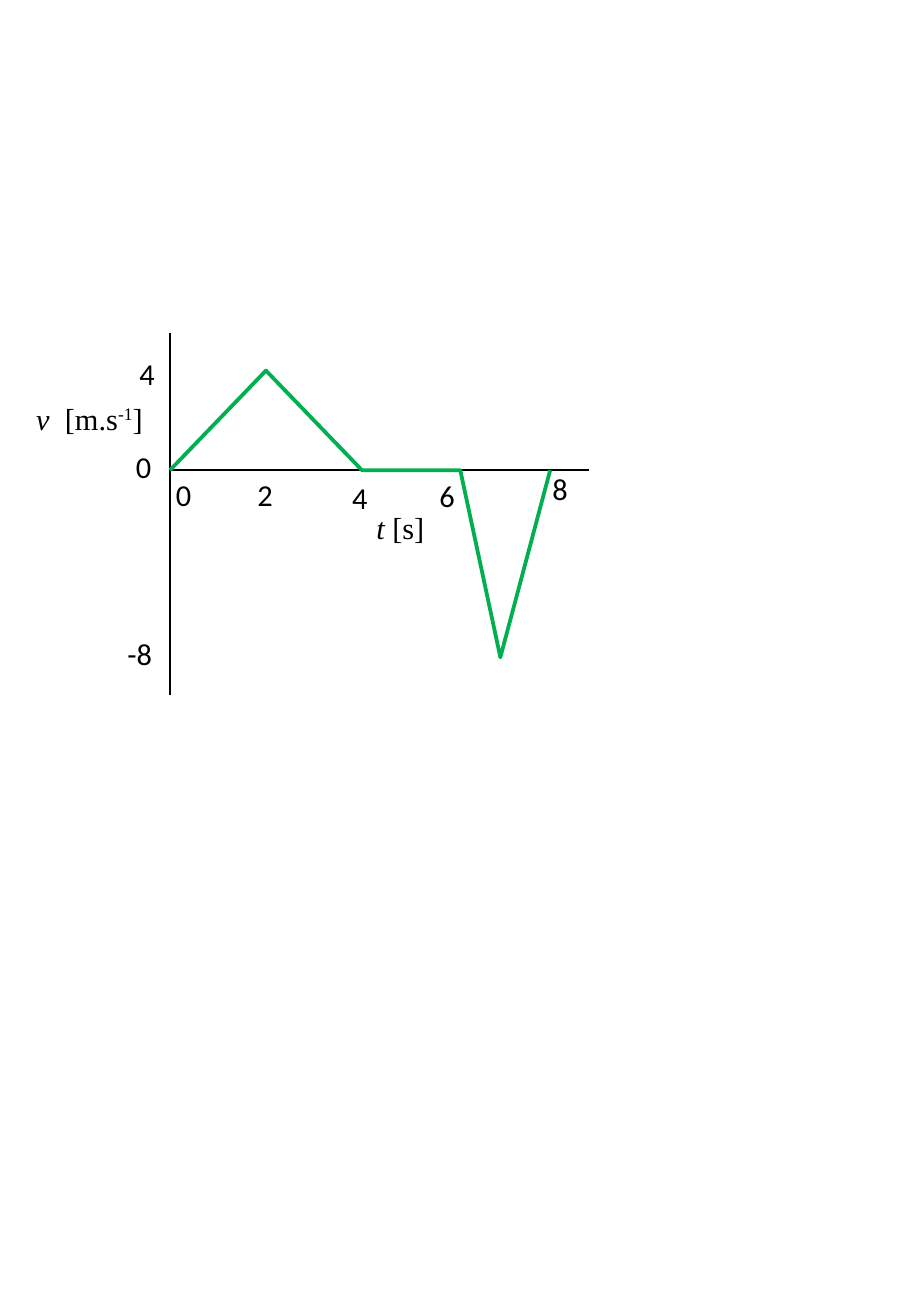
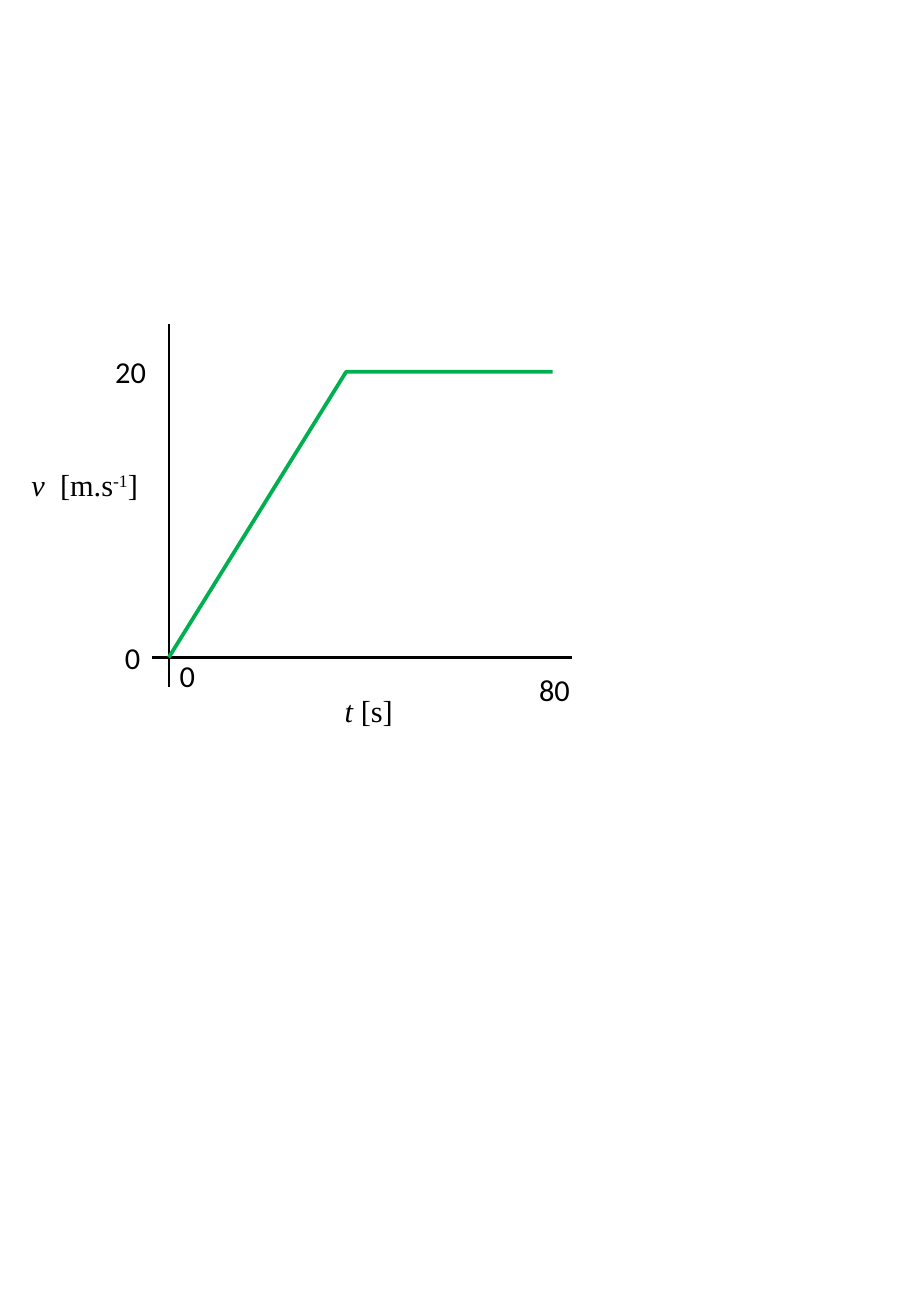
"""Draw two velocity-time graphs, one on each page."""
from lxml.etree import SubElement
from pptx import Presentation
from pptx.dml.color import RGBColor as Rgb
from pptx.enum.shapes import MSO_CONNECTOR as Connector
from pptx.enum.text import MSO_AUTO_SIZE as AutoSize
from pptx.oxml.ns import qn
from pptx.util import Pt

PX = 9144
PAGE_WIDTH, PAGE_HEIGHT = 750, 1083
LABEL_HEIGHT = 40
COLOURS = {"ink": "000000", "curve": "00B050"}
FRAME = {"word_wrap": False, "auto_size": AutoSize.SHAPE_TO_FIT_TEXT}
NUMBER = {"name": "Calibri", "size": Pt(18)}
UNIT = {"name": "Times New Roman", "size": Pt(18), "italic": False}
SYMBOL = UNIT | {"italic": True}
TIME = [("t ", SYMBOL, 0), ("[s]", UNIT, 0)]
VELOCITY = [("v  ", SYMBOL, 0), ("[m.s", UNIT, 0), ("-1", UNIT, 30000), ("]", UNIT, 0)]

GRAPHS = [
    {
        "axes": [(140, 274, 140, 572), (140, 387, 485, 387)],
        "time": (300, 414),
        "velocity": (20, 324),
        "numbers": [
            ("2", 202, 387), ("4", 280, 389), ("6", 352, 388), ("8", 445, 382),
            ("4", 105, 287), ("0", 102, 364), ("-8", 95, 518), ("0", 135, 387),
        ],
        "curve": [(140, 387), (219, 305), (298, 387), (379, 387), (412, 541), (453, 387)],
    },
    {
        "axes": [(139, 267, 139, 565), (125, 541, 471, 541)],
        "time": (274, 565),
        "velocity": (16, 379),
        "numbers": [("20", 85, 286), ("80", 434, 547), ("0", 93, 521), ("0", 138, 536)],
        "curve": [(139, 541), (285, 306), (455, 306)],
    },
]


def apply_format(target, values):
    """Set each named attribute on the target."""
    for name, value in values.items():
        setattr(target, name, value)


def style_line(shape, colour, width):
    """Give a shape's line its colour and width in points."""
    shape.line.color.rgb = Rgb.from_string(COLOURS[colour])
    shape.line.width = Pt(width)


def add_axis(page, ends):
    """Draw a straight axis between two points."""
    axis = page.shapes.add_connector(Connector.STRAIGHT, *(end * PX for end in ends))
    style_line(axis, "ink", 1.5)
    SubElement(axis._element.spPr, qn("a:effectLst"))


def add_curve(page, points):
    """Draw the open velocity curve through its points."""
    builder = page.shapes.build_freeform(*points[0], scale=PX)
    builder.add_line_segments(points[1:], close=False)
    curve = builder.convert_to_shape()
    curve.shadow.inherit = False
    curve.fill.background()
    style_line(curve, "curve", 2.25)


def add_label(page, left, top, width, spans):
    """Write one line of text made of (text, format, baseline) spans."""
    box = page.shapes.add_textbox(*(side * PX for side in (left, top, width, LABEL_HEIGHT)))
    apply_format(box.text_frame, FRAME)
    para = box.text_frame.paragraphs[0]
    for text, values, baseline in spans:
        span = para.add_run()
        span.text = text
        apply_format(span.font, values)
        span.font.color.rgb = Rgb.from_string(COLOURS["ink"])
        if baseline:
            span._r.get_or_add_rPr().set("baseline", str(baseline))


def add_number(page, text, left, top):
    """Write an axis value in a box fitted to its characters."""
    width = 20 + sum(8 if sign == "-" else 13 for sign in text)
    add_label(page, left, top, width, [(text, NUMBER, 0)])


def add_graph(page, graph):
    """Draw the axes, titles, values and curve of one graph."""
    for ends in graph["axes"]:
        add_axis(page, ends)
    add_label(page, *graph["time"], 60, TIME)
    add_label(page, *graph["velocity"], 111, VELOCITY)
    for number in graph["numbers"]:
        add_number(page, *number)
    add_curve(page, graph["curve"])


def main():
    """Build and save the deck."""
    deck = Presentation()
    apply_format(deck, {"slide_width": PAGE_WIDTH * PX, "slide_height": PAGE_HEIGHT * PX})
    for graph in GRAPHS:
        add_graph(deck.slides.add_slide(deck.slide_layouts[6]), graph)
    deck.save("out.pptx")


if __name__ == "__main__":
    main()
